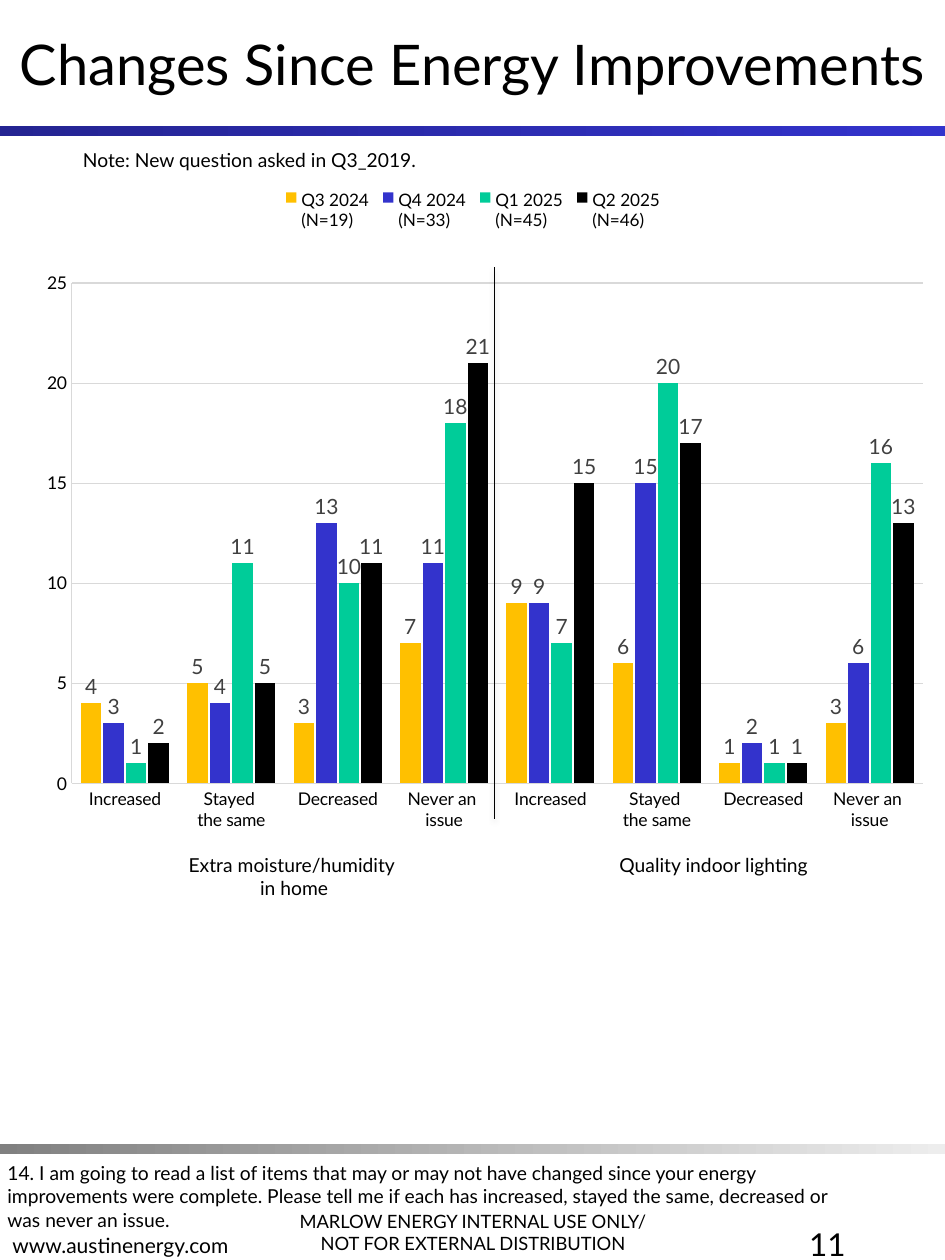
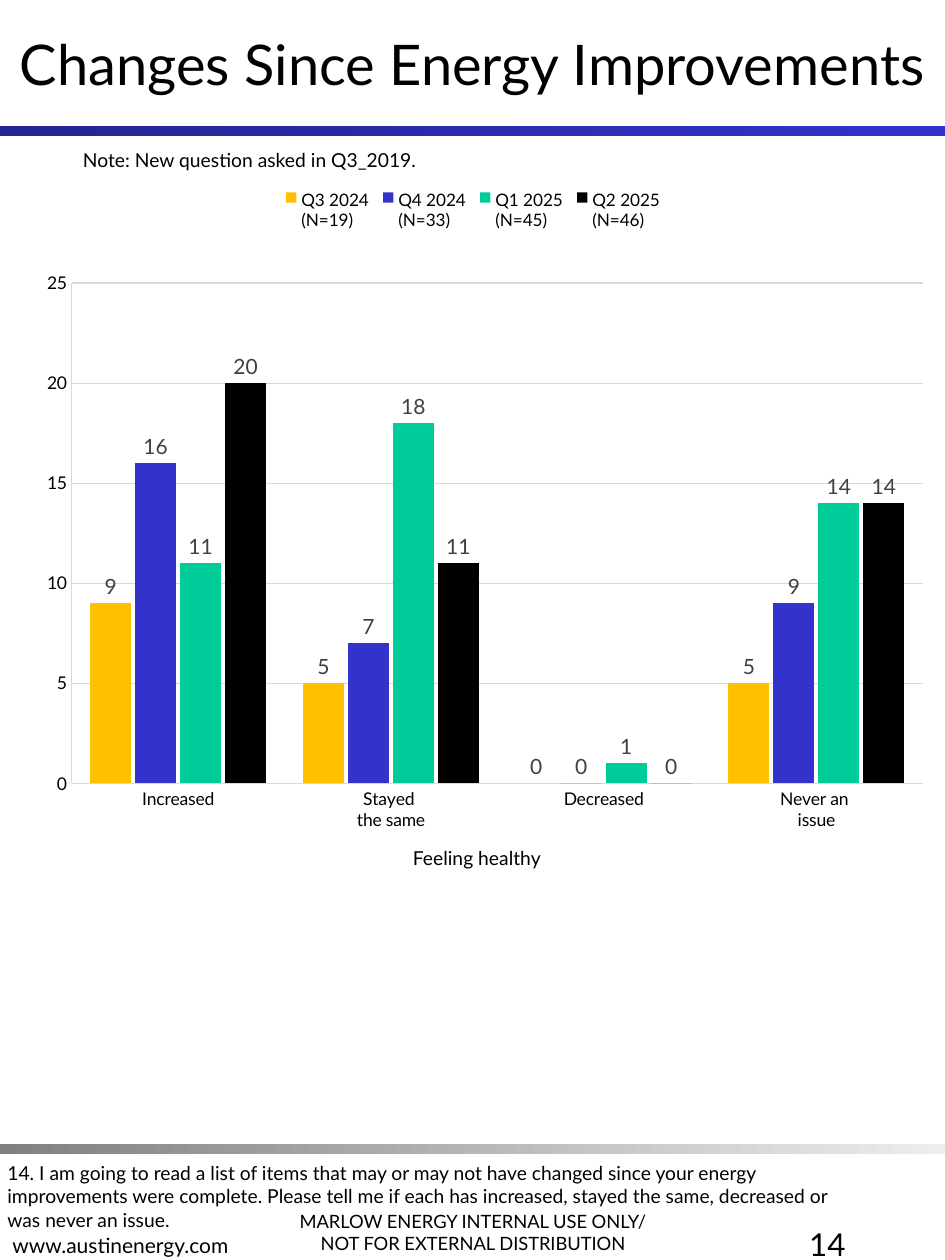
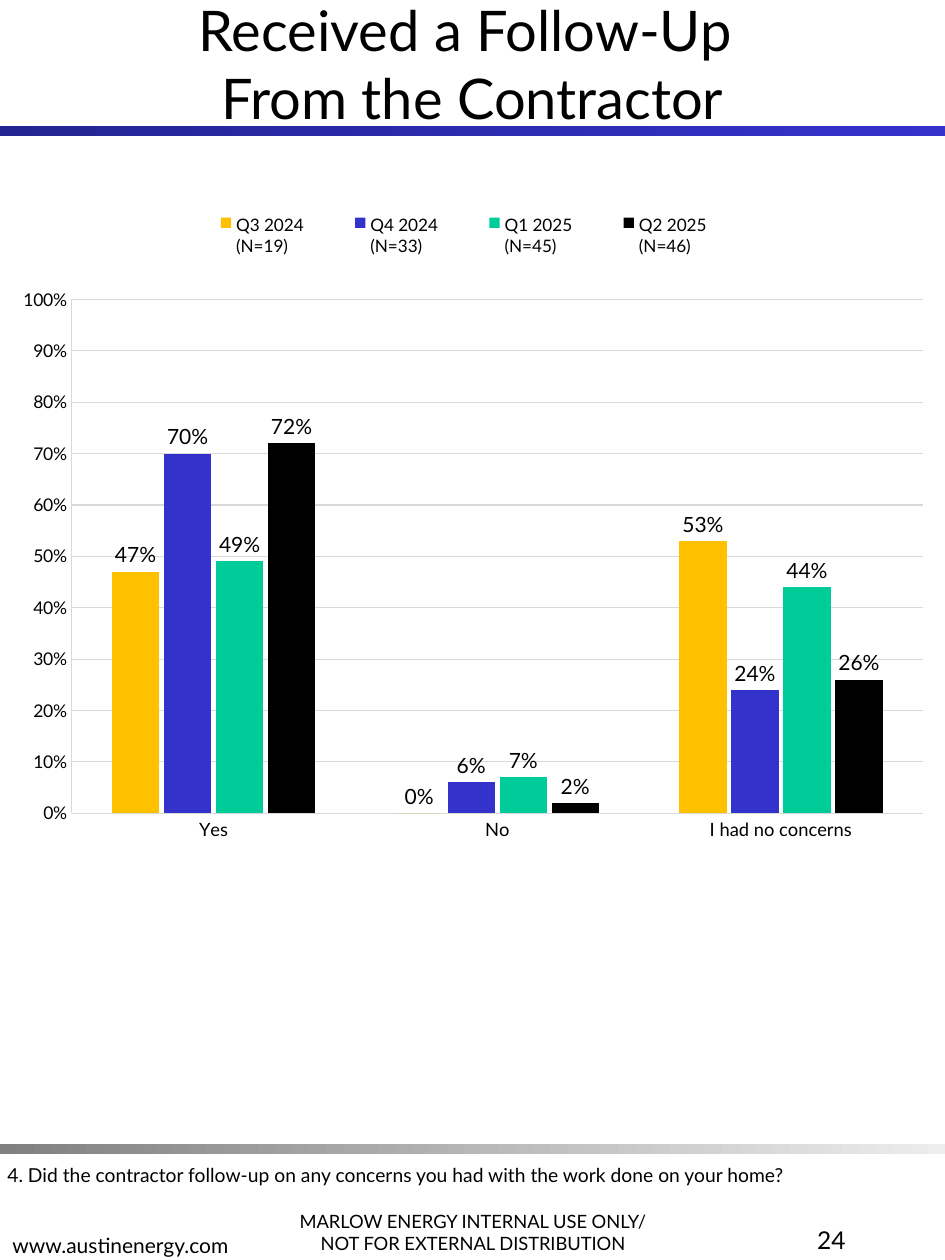
from dataclasses import dataclass
from typing import Any, NamedTuple, Optional

from lxml import etree
from pptx import Presentation
from pptx import util as u
from pptx.chart.data import CategoryChartData
from pptx.dml.color import RGBColor
from pptx.enum import chart as ch, shapes, text
from pptx.oxml.ns import nsdecls, qn
from pptx.oxml import parse_xml

FONT = "Lato"
BLACK = RGBColor(0x00, 0x00, 0x00)
CHARCOAL = RGBColor(0x40, 0x40, 0x40)
GRID_GRAY = RGBColor(0xD9, 0xD9, 0xD9)
NAVY = RGBColor(0x24, 0x24, 0x92)
BLUE = RGBColor(0x33, 0x33, 0xCC)
MID_GRAY = RGBColor(0x80, 0x80, 0x80)
PALE_GRAY = RGBColor(0xED, 0xED, 0xED)
AMBER = RGBColor(0xFF, 0xC0, 0x00)
TEAL = RGBColor(0x00, 0xCC, 0x99)

WIDTH, HEIGHT = u.Inches(7.5), u.Inches(10)
COL, ROW = WIDTH / 75, HEIGHT / 100

QUARTERS = {
    "Q3 2024\n(N=19)": AMBER,
    "Q4 2024\n(N=33)": BLUE,
    "Q1 2025\n(N=45)": TEAL,
    "Q2 2025\n(N=46)": BLACK,
}
ANSWERS = ["Increased", "Stayed \nthe same", "Decreased", "Never an \nissue"]
CENTER, LEFT, RIGHT = text.PP_ALIGN.CENTER, text.PP_ALIGN.LEFT, text.PP_ALIGN.RIGHT
TOP, MIDDLE, BOTTOM = text.MSO_ANCHOR.TOP, text.MSO_ANCHOR.MIDDLE, text.MSO_ANCHOR.BOTTOM


class Box(NamedTuple):
    col: float
    row: float
    cols: float
    rows: float

    def emu(self) -> tuple[int, ...]:
        return tuple(int(n * unit) for n, unit in zip(self, (COL, ROW, COL, ROW)))


class Share(NamedTuple):
    x: float
    y: float
    w: float
    h: float


@dataclass
class Label:
    box: Box
    words: str
    size: float = 11
    align: Any = LEFT
    anchor: Any = TOP
    wrap: bool = True


@dataclass
class Band:
    row: float
    start: RGBColor
    end: RGBColor


@dataclass
class Results:
    box: Box
    categories: list[str]
    counts: list[list[float]]
    plot: Share
    legend: Share
    gap: int = 90
    top: float = 25
    step: float = 5
    number_format: str = "General"
    category_size: float = 10
    label_color: RGBColor = CHARCOAL


@dataclass
class Page:
    title: str
    number: str
    number_size: int
    question: Label
    results: Results
    labels: list[Label]
    divider: Optional[float] = None


BANDS = [Band(10, NAVY, BLUE), Band(90.8, MID_GRAY, PALE_GRAY)]
FOOTERS = [
    Label(Box(21.6, 93.3, 31.9, 6.7),
          "MARLOW ENERGY INTERNAL USE ONLY/\nNOT FOR EXTERNAL DISTRIBUTION",
          10.5, CENTER, BOTTOM),
    Label(Box(0, 93.6, 31.9, 6.7), "www.austinenergy.com", 12, LEFT, BOTTOM),
]
CHANGES_TITLE = "Changes Since Energy Improvements"
CHANGES_NOTE = Label(Box(5.6, 11.3, 64.4, 2.9), "Note: New question asked in Q3_2019.")
CHANGES_QUESTION = Label(
    Box(-0.4, 91.7, 68.5, 6.6),
    "14. I am going to read a list of items that may or may not have changed since "
    "your energy improvements were complete. Please tell me if each has increased, "
    "stayed the same, decreased or was never an issue.")
CHANGES_LAYOUT = {
    "box": Box(0.6, 14, 73.9, 59.2),
    "plot": Share(0.069, 0.143, 0.914, 0.671),
    "legend": Share(0.29, 0.01, 0.42, 0.07),
}

PAGES = [
    Page(CHANGES_TITLE, "11", 18, CHANGES_QUESTION,
         Results(categories=ANSWERS * 2,
                 counts=[[4, 5, 3, 7, 9, 6, 1, 3],
                         [3, 4, 13, 11, 9, 15, 2, 6],
                         [1, 11, 10, 18, 7, 20, 1, 16],
                         [2, 5, 11, 21, 15, 17, 1, 13]],
                 **CHANGES_LAYOUT),
         [CHANGES_NOTE,
          Label(Box(14.2, 67.2, 18.3, 4.5), "Extra moisture/humidity \nin home",
                align=CENTER, wrap=False),
          Label(Box(48.3, 67.2, 16.7, 6), "Quality indoor lighting",
                align=CENTER, wrap=False)],
         divider=39.2),
    Page(CHANGES_TITLE, "14", 18, CHANGES_QUESTION,
         Results(categories=ANSWERS,
                 counts=[[9, 5, 0, 5], [16, 7, 0, 9], [11, 18, 1, 14], [20, 11, 0, 14]],
                 **CHANGES_LAYOUT),
         [CHANGES_NOTE,
          Label(Box(30.7, 66.7, 14.3, 4.5), "Feeling healthy", align=CENTER, wrap=False)]),
    Page("Received a Follow-Up \vFrom the Contractor", "24", 14,
         Label(Box(-0.4, 91.8, 68.5, 2.9),
               "4. Did the contractor follow-up on any concerns you had with the work "
               "done on your home?"),
         Results(Box(0.6, 16.1, 73.9, 51.5), ["Yes", "No", "I had no concerns"],
                 [[0.47, 0, 0.53], [0.7, 0.06, 0.24], [0.49, 0.07, 0.44], [0.72, 0.02, 0.26]],
                 Share(0.069, 0.149, 0.914, 0.792), Share(0.18, 0.01, 0.62, 0.08),
                 170, 1, 0.1, "0%", 10.5, BLACK),
         []),
]


def assign(target: Any, values: dict[str, Any]) -> None:
    for name, value in values.items():
        setattr(target, name, value)


def style_font(font: Any, size: float, color: RGBColor = BLACK) -> None:
    assign(font, {"name": FONT, "size": u.Pt(size), "bold": False})
    font.color.rgb = color


def fill_frame(frame: Any, label: Label) -> None:
    assign(frame, {"text": label.words, "word_wrap": label.wrap,
                   "auto_size": text.MSO_AUTO_SIZE.NONE, "vertical_anchor": label.anchor})
    for paragraph in frame.paragraphs:
        paragraph.alignment = label.align
        for run in paragraph.runs:
            style_font(run.font, label.size)


def add_label(slide: Any, label: Label) -> Any:
    holder = slide.shapes.add_textbox(*label.box.emu())
    fill_frame(holder.text_frame, label)
    return holder


def add_band(slide: Any, band: Band) -> Any:
    bar = slide.shapes.add_shape(shapes.MSO_SHAPE.RECTANGLE, *Box(0, band.row, 75, 0.8).emu())
    bar.shadow.inherit = False
    bar.line.fill.background()
    bar.fill.gradient()
    bar.fill.gradient_angle = 0
    for stop, color, position in zip(bar.fill.gradient_stops, (band.start, band.end), (0, 1)):
        stop.color.rgb = color
        stop.position = position
    return bar


def share_frame(slide: Any, layout: Any) -> None:
    for placeholder in list(layout.placeholders)[1:]:
        placeholder.element.getparent().remove(placeholder.element)
    parts = [add_band(slide, band) for band in BANDS]
    parts += [add_label(slide, footer) for footer in FOOTERS]
    for part in parts:
        layout.shapes.element.append(part.element)


def add_divider(slide: Any, col: float) -> None:
    x = int(col * COL)
    line = slide.shapes.add_connector(
        shapes.MSO_CONNECTOR.STRAIGHT, x, int(21.2 * ROW), x, int(65 * ROW))
    line.line.width = u.Pt(0.25)
    line.line.color.rgb = BLACK
    line.element.spPr.append(parse_xml(
        f'<a:effectLst {nsdecls("a")}><a:outerShdw blurRad="40000" dist="20000" dir="5400000">'
        '<a:srgbClr val="000000"><a:alpha val="38000"/></a:srgbClr>'
        '</a:outerShdw></a:effectLst>'))


def place_part(part: Any, index: int, share: Share, inner: bool = False) -> None:
    for old in part.findall(qn("c:layout")):
        part.remove(old)
    layout = etree.Element(qn("c:layout"))
    manual = etree.SubElement(layout, qn("c:manualLayout"))
    settings = {"layoutTarget": "inner"} if inner else {}
    settings |= {"xMode": "edge", "yMode": "edge"}
    settings |= {name: str(value) for name, value in zip("xywh", share)}
    for name, value in settings.items():
        etree.SubElement(manual, qn(f"c:{name}")).set("val", value)
    part.insert(index, layout)


def style_axis(axis: Any, size: float, width: float) -> None:
    assign(axis, {"major_tick_mark": ch.XL_TICK_MARK.NONE,
                  "minor_tick_mark": ch.XL_TICK_MARK.NONE})
    style_font(axis.tick_labels.font, size)
    style_line(axis.format.line, width)


def style_line(line: Any, width: float) -> None:
    line.color.rgb = GRID_GRAY
    line.width = u.Pt(width)


def add_results(slide: Any, results: Results) -> None:
    data = CategoryChartData(number_format=results.number_format)
    data.categories = results.categories
    for quarter, counts in zip(QUARTERS, results.counts):
        data.add_series(quarter, counts)
    chart = slide.shapes.add_chart(
        ch.XL_CHART_TYPE.COLUMN_CLUSTERED, *results.box.emu(), data).chart
    style_font(chart.font, 10)
    assign(chart, {"has_title": False, "has_legend": True})
    assign(chart.legend, {"position": ch.XL_LEGEND_POSITION.TOP, "include_in_layout": False})
    style_font(chart.legend.font, 9.8)

    style_axis(chart.category_axis, results.category_size, 0.62)
    values = chart.value_axis
    style_axis(values, 10, 0.41)
    assign(values, {"minimum_scale": 0, "maximum_scale": results.top,
                    "major_unit": results.step, "has_major_gridlines": True})
    style_line(values.major_gridlines.format.line, 0.62)
    number_style = {"number_format": results.number_format, "number_format_is_linked": False}
    assign(values.tick_labels, number_style)

    plot = chart.plots[0]
    assign(plot, {"gap_width": results.gap, "overlap": -10, "vary_by_categories": False})
    for series, color in zip(plot.series, QUARTERS.values()):
        series.format.fill.solid()
        series.format.fill.fore_color.rgb = color
        assign(series.data_labels, {"show_value": True, **number_style,
                                    "position": ch.XL_LABEL_POSITION.OUTSIDE_END})
        style_font(series.data_labels.font, 12, results.label_color)

    area = chart._chartSpace.find(".//" + qn("c:plotArea"))
    place_part(area, 0, results.plot, inner=True)
    place_part(area.getparent().find(qn("c:legend")), 1, results.legend)


def build_page(slide: Any, page: Page) -> None:
    title = slide.shapes.title
    assign(title, dict(zip(("left", "top", "width", "height"), Box(0, 0, 75, 10).emu())))
    fill_frame(title.text_frame, Label(Box(0, 0, 75, 10), page.title, 32, CENTER, MIDDLE))
    add_label(slide, Label(Box(52.5, 96.7, 15.6, 6.7), page.number, page.number_size, RIGHT))
    add_label(slide, page.question)
    add_results(slide, page.results)
    for label in page.labels:
        add_label(slide, label)
    if page.divider is not None:
        add_divider(slide, page.divider)


def main() -> None:
    deck = Presentation()
    assign(deck, {"slide_width": WIDTH, "slide_height": HEIGHT})
    layout = deck.slide_layouts[5]
    slides = [deck.slides.add_slide(layout) for _ in PAGES]
    share_frame(slides[0], layout)
    for slide, page in zip(slides, PAGES):
        build_page(slide, page)
    deck.save("out.pptx")


if __name__ == "__main__":
    main()
